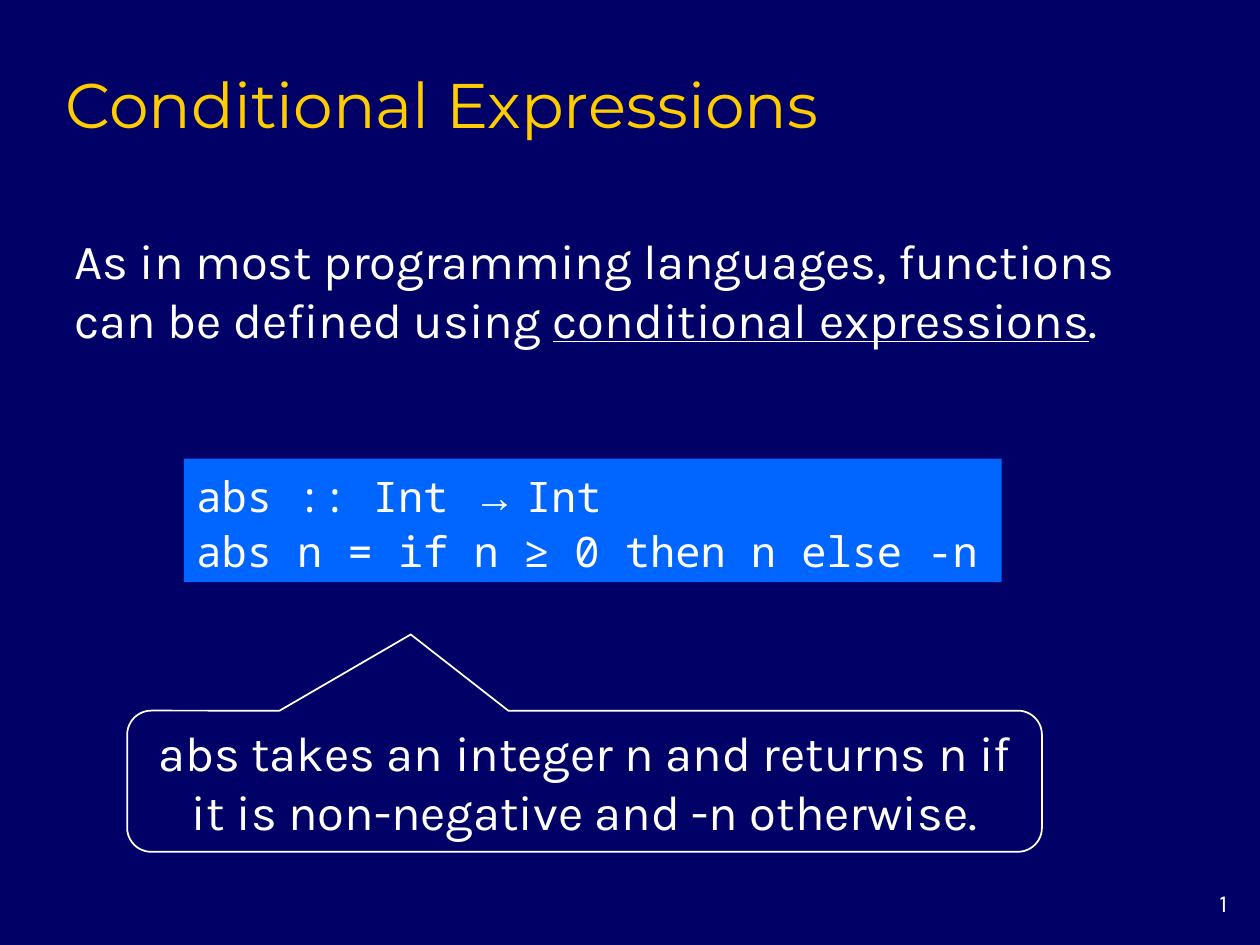
from pptx import Presentation
from pptx.dml.color import RGBColor
from pptx.enum import shapes, text
from pptx.util import Inches, Pt

NAVY = RGBColor(0x00, 0x00, 0x66)
BLUE = RGBColor(0x00, 0x66, 0xFF)
GOLD = RGBColor(0xFF, 0xCC, 0x00)
WHITE = RGBColor(0xFF, 0xFF, 0xFF)
BODY_FONT, CODE_FONT = "Karla", "Noto Sans Mono"


def style(paragraph, font, size, color=WHITE, align=text.PP_ALIGN.LEFT):
    paragraph.alignment = align
    for run in paragraph.runs:
        run.font.name = font
        run.font.size = Pt(size)
        run.font.color.rgb = color


def add_runs(paragraph, parts):
    for part in parts:
        paragraph.add_run().text = part


prs = Presentation()
prs.slide_width, prs.slide_height = Inches(10), Inches(7.5)
slide = prs.slides.add_slide(prs.slide_layouts[5])
slide.background.fill.solid()
slide.background.fill.fore_color.rgb = NAVY

# Page number
page = slide.shapes.add_textbox(Inches(9.17), Inches(7), Inches(0.67), Inches(0.33))
page.text_frame.word_wrap = True
page.text_frame.text = "1"
style(page.text_frame.paragraphs[0], BODY_FONT, 14, align=text.PP_ALIGN.RIGHT)

# Title
title = slide.shapes.title
title.left, title.top = Inches(0.42), Inches(0.42)
title.width, title.height = Inches(8.5), Inches(0.75)
title.text_frame.text = "Conditional Expressions"
title.text_frame.vertical_anchor = text.MSO_ANCHOR.BOTTOM
style(title.text_frame.paragraphs[0], "Montserrat", 36, GOLD)

# Introduction with the underlined term
intro = slide.shapes.add_textbox(Inches(0.49), Inches(1.78), Inches(8.85), Inches(1.03))
intro.text_frame.word_wrap = True
intro.text_frame.vertical_anchor = text.MSO_ANCHOR.MIDDLE
sentence = intro.text_frame.paragraphs[0]
add_runs(sentence, ["As in most programming languages, functions can be defined using ",
                    "conditional expressions", "."])
style(sentence, BODY_FONT, 28)
sentence.runs[1].font.underline = True

# Code panel
code = slide.shapes.add_shape(shapes.MSO_SHAPE.RECTANGLE,
                              Inches(1.46), Inches(3.64), Inches(6.49), Inches(0.98))
code.shadow.inherit = False
code.fill.solid()
code.fill.fore_color.rgb = BLUE
code.line.fill.background()
code.text_frame.word_wrap = False
code.text_frame.vertical_anchor = text.MSO_ANCHOR.MIDDLE
signature = code.text_frame.paragraphs[0]
add_runs(signature, ["abs :: Int ", "→ ", "Int"])
definition = code.text_frame.add_paragraph()
definition.text = "abs n = if n ≥ 0 then n else -n"
for line in (signature, definition):
    line.line_spacing = 1.1
    style(line, CODE_FONT, 24)
signature.runs[1].font.name = "Times New Roman"

# Explanation callout pointing at the code
callout = slide.shapes.add_shape(shapes.MSO_SHAPE.ROUNDED_RECTANGULAR_CALLOUT,
                                 Inches(1.01), Inches(5.64), Inches(7.26), Inches(1.12))
for index, value in enumerate((-0.19, -1.04, 0.17)):
    callout.adjustments[index] = value
callout.shadow.inherit = False
callout.fill.background()
callout.line.color.rgb = WHITE
callout.line.width = Pt(1)
callout.text_frame.word_wrap = True
callout.text_frame.vertical_anchor = text.MSO_ANCHOR.MIDDLE
callout.text_frame.text = ("abs takes an integer n and returns n if it is "
                           "non-negative and -n otherwise.")
style(callout.text_frame.paragraphs[0], BODY_FONT, 28, align=text.PP_ALIGN.CENTER)

prs.save("out.pptx")
